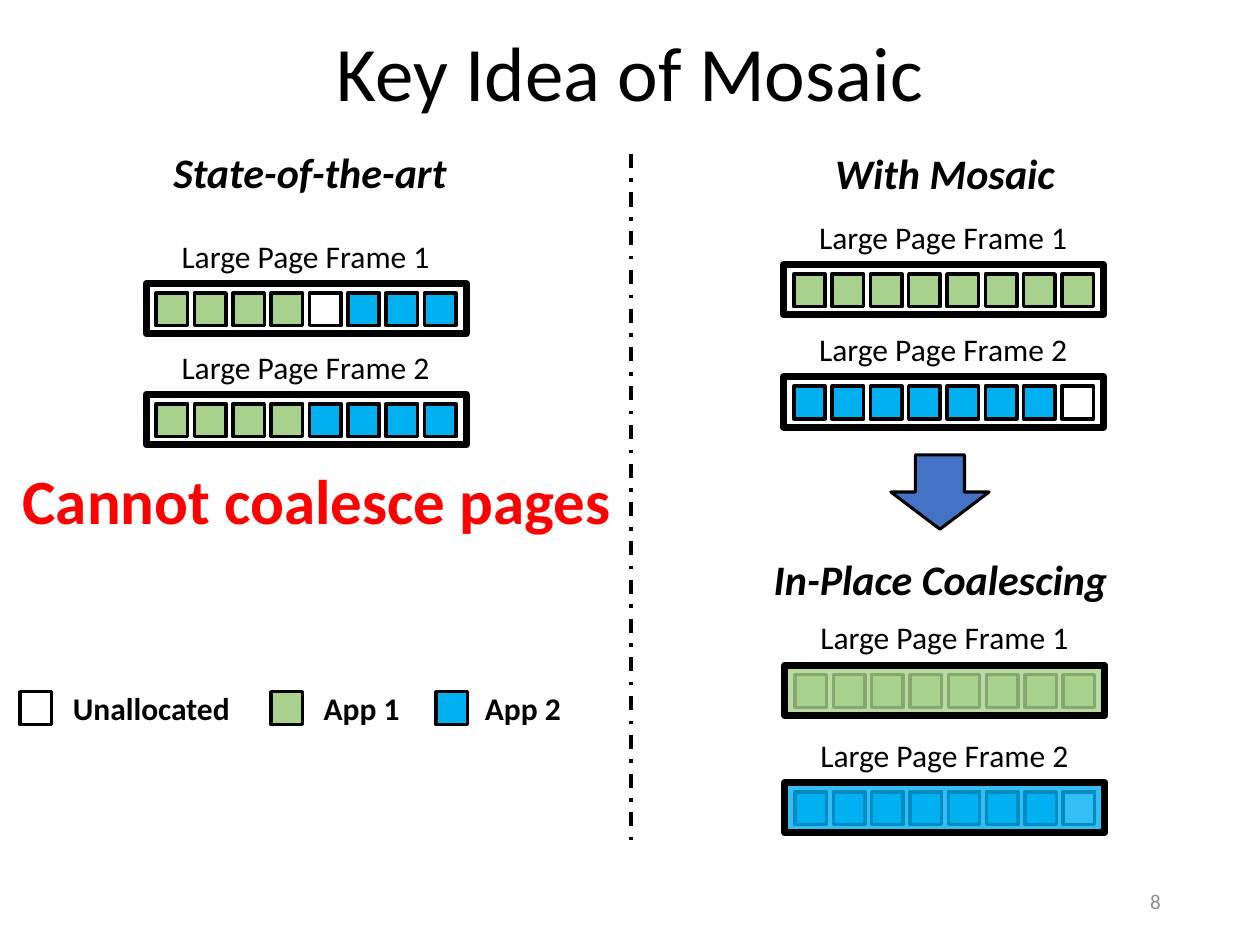
from dataclasses import dataclass

from lxml.etree import SubElement
from pptx import Presentation
from pptx.dml.color import RGBColor
from pptx.enum.dml import MSO_LINE_DASH_STYLE as Dash
from pptx.enum.shapes import MSO_CONNECTOR_TYPE as Connector, MSO_SHAPE as Shape
from pptx.enum.text import MSO_ANCHOR as Anchor, PP_ALIGN as Align
from pptx.oxml.ns import qn
from pptx.util import Inches, Pt

WIDTH, HEIGHT = Inches(10), Inches(7.5)
COLUMNS, ROWS = 100, 75


@dataclass(frozen=True)
class Theme:
    """Colours, font and type sizes of the slide."""
    font: str = "Calibri"
    ink: str = "000000"
    free: str = "FFFFFF"
    app1: str = "A9D18E"
    app2: str = "00B0F0"
    arrow: str = "4472C4"
    warning: str = "FF0000"
    muted: str = "8C8C8C"
    title: int = 44
    verdict: int = 36
    heading: int = 24
    label: int = 18
    number: int = 12


THEME = Theme()
FRAME_SIZE = (25.4, 4)
PAGE_SIZE = (2.5, 2.6)
PAGE_INSET = (0.8, 0.75)
PAGE_PITCH = 3.04
PAGE_COLORS = {"1": THEME.app1, "2": THEME.app2, "-": THEME.free}

# left, top, frame number, owner of each page, colour of the coalesced page
FRAMES = [
    (11.6, 22.5, 1, "1111-222", None),
    (11.6, 31.3, 2, "11112222", None),
    (62.2, 21, 1, "11111111", None),
    (62.2, 29.9, 2, "2222222-", None),
    (62.3, 52.8, 1, "11111111", THEME.app1),
    (62.3, 62.1, 2, "2222222-", THEME.app2),
]
HEADINGS = [
    ("State-of-the-art", (12.6, 11.1, 24, 5)),
    ("With Mosaic", (65.2, 11.2, 19.6, 5)),
    ("In-Place Coalescing", (60.3, 43.4, 28.7, 5)),
]
# label, colour, left of the key, left of the label
LEGEND = [
    ("Unallocated", THEME.free, 1.6, 4.8),
    ("App 1", THEME.app1, 21.5, 24.7),
    ("App 2", THEME.app2, 34.6, 37.5),
]


def grid(left, top, width, height):
    """Turn columns and rows into slide lengths."""
    return (int(WIDTH * left / COLUMNS), int(HEIGHT * top / ROWS),
            int(WIDTH * width / COLUMNS), int(HEIGHT * height / ROWS))


def write(shape, text, size, color=THEME.ink, align=Align.CENTER, **style):
    """Put one formatted paragraph into a shape."""
    paragraph = shape.text_frame.paragraphs[0]
    paragraph.alignment = align
    run = paragraph.add_run()
    run.text = text
    run.font.color.rgb = RGBColor.from_string(color)
    for key, value in {"name": THEME.font, "size": Pt(size), **style}.items():
        setattr(run.font, key, value)
    return paragraph


def add_text(slide, box, text, size, wrap=False, anchor=Anchor.TOP, **style):
    """Add a text box in grid units."""
    label = slide.shapes.add_textbox(*grid(*box))
    label.text_frame.word_wrap = wrap
    label.text_frame.vertical_anchor = anchor
    write(label, text, size, **style)


def add_block(shapes, box, fill, weight, kind=Shape.RECTANGLE, opacity=None):
    """Add an outlined shape, unfilled, solid or see-through."""
    block = shapes.add_shape(kind, *grid(*box))
    block.shadow.inherit = False
    block.line.color.rgb = RGBColor.from_string(THEME.ink)
    block.line.width = Pt(weight)
    if fill is None:
        block.fill.background()
        return
    block.fill.solid()
    block.fill.fore_color.rgb = RGBColor.from_string(fill)
    if opacity is not None:
        color = block.fill._xPr.find(qn("a:solidFill"))[0]
        SubElement(color, qn("a:alpha")).set("val", str(opacity * 1000))


def add_frame(slide, left, top, number, owners, coalesced):
    """Add a labelled large page frame with its row of pages."""
    add_text(slide, (left + 1.7, top - 4.2, 21.9, 4),
             f"Large Page Frame {number}", THEME.label)
    outline = (left, top, *FRAME_SIZE)
    if not coalesced:
        add_block(slide.shapes, outline, None, 4)
    pages = slide.shapes.add_group_shape().shapes
    for index, owner in enumerate(owners):
        page = (left + PAGE_INSET[0] + index * PAGE_PITCH, top + PAGE_INSET[1])
        add_block(pages, (*page, *PAGE_SIZE), PAGE_COLORS[owner], 2)
    if coalesced:
        add_block(slide.shapes, outline, coalesced, 4, opacity=80)


def add_divider(slide, column, top, bottom):
    """Add the dash-dot line between the two halves."""
    x, start, _, length = grid(column, top, 0, bottom - top)
    divider = slide.shapes.add_connector(Connector.STRAIGHT, x, start, x, start + length)
    divider.line.color.rgb = RGBColor.from_string(THEME.ink)
    divider.line.width = Pt(2)
    divider.line.dash_style = Dash.DASH_DOT
    SubElement(divider._element.spPr, qn("a:effectLst"))


def add_title(slide, text):
    """Place and format the title placeholder."""
    title = slide.shapes.title
    title.left, title.top, title.width, title.height = grid(5, 1.4, 90, 9.3)
    title.text_frame.vertical_anchor = Anchor.MIDDLE
    write(title, text, THEME.title).line_spacing = 0.9


def main():
    """Build the slide and save it."""
    deck = Presentation()
    deck.slide_width, deck.slide_height = WIDTH, HEIGHT
    slide = deck.slides.add_slide(deck.slide_layouts[5])
    add_title(slide, "Key Idea of Mosaic")
    add_divider(slide, 50.1, 12.2, 66.7)
    for text, box in HEADINGS:
        add_text(slide, box, text, THEME.heading, bold=True, italic=True)
    for frame in FRAMES:
        add_frame(slide, *frame)
    add_text(slide, (0.7, 36.1, 48.9, 7.1), "Cannot coalesce pages",
             THEME.verdict, wrap=True, color=THEME.warning, bold=True)
    add_block(slide.shapes, (70.7, 36.1, 7.8, 5.9), THEME.arrow, 1.75, Shape.DOWN_ARROW)
    for text, color, key_left, text_left in LEGEND:
        add_block(slide.shapes, (key_left, 54.9, *PAGE_SIZE), color, 2)
        add_text(slide, (text_left, 54.2, 15.9, 4), text, THEME.label,
                 wrap=True, align=Align.LEFT, bold=True)
    add_text(slide, (70.6, 69.5, 22.5, 4), "8", THEME.number, wrap=True,
             anchor=Anchor.MIDDLE, color=THEME.muted, align=Align.RIGHT)
    deck.save("out.pptx")


main()
